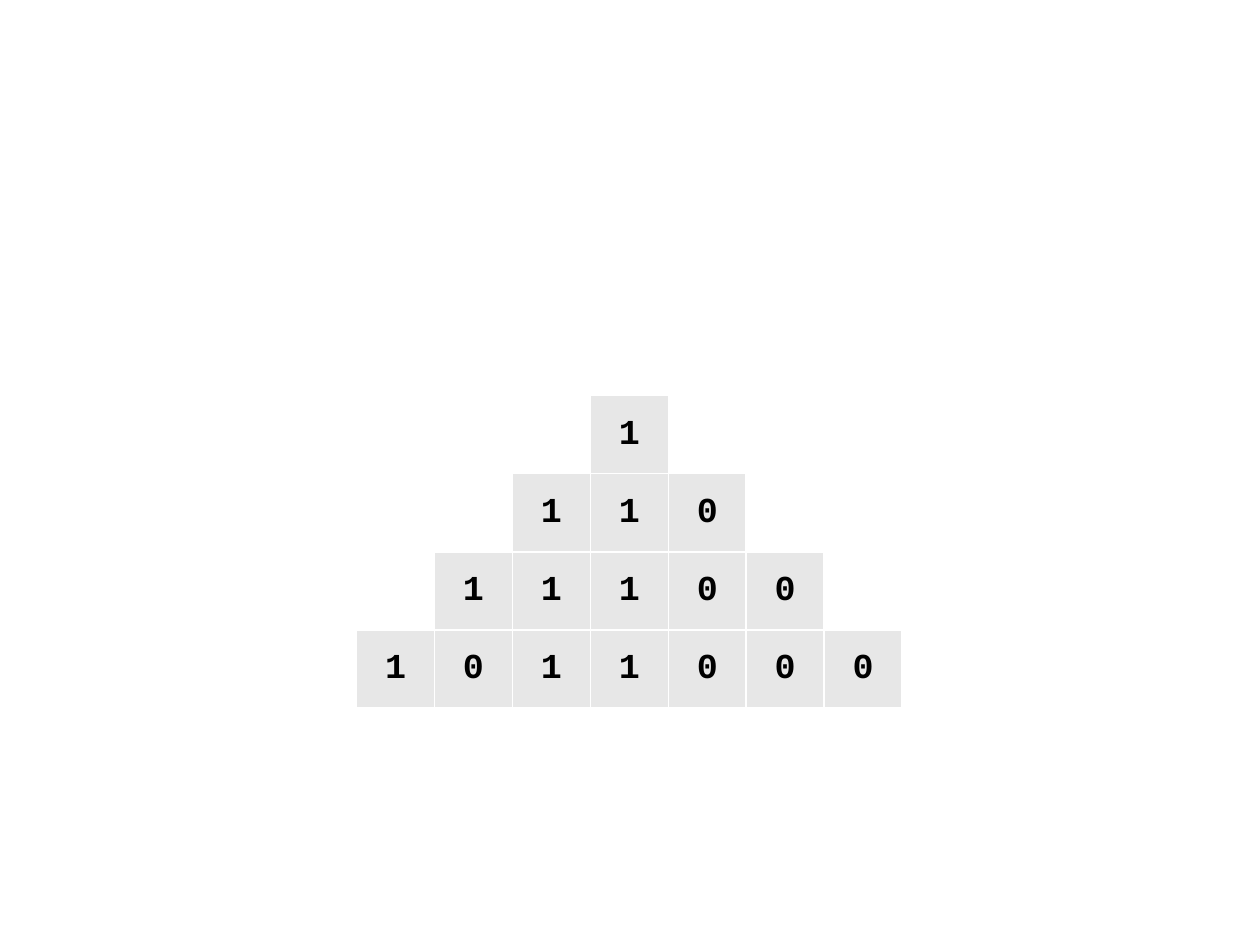
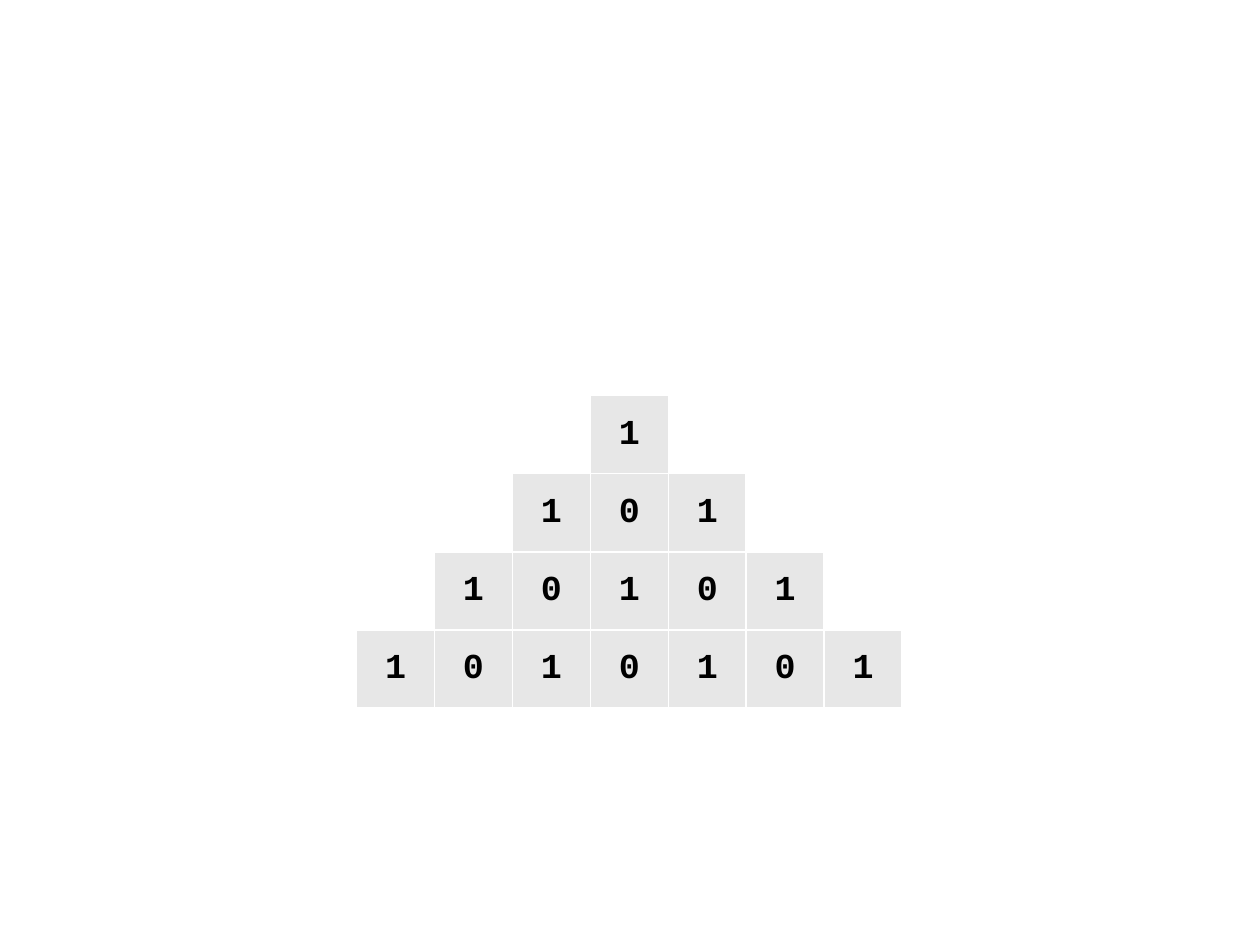
"""Two slides, each with a pyramid of binary digits in a table."""
from dataclasses import dataclass

from lxml import etree
from pptx import Presentation
from pptx import util as u
from pptx.dml.color import RGBColor
from pptx.enum import text
from pptx.oxml.ns import qn

COLORS = {"background": "FFFFFF", "border": "FFFFFF", "cell": "E7E7E7", "digit": "000000"}
FONT = "Courier New"
FONT_SIZE = u.Pt(20)
BORDER_WIDTH = u.Pt(1)

# Table frame, the same on both slides
LEFT, TOP = u.Inches(2.83), u.Inches(3.14)
WIDTH, HEIGHT = u.Inches(4.33), u.Inches(2.48)


@dataclass(frozen=True)
class Pyramid:
    rows: tuple[str, ...]  # top to bottom, each two digits longer than the last

    @property
    def columns(self) -> int:
        return len(self.rows[-1])


PYRAMIDS = [
    Pyramid(("1", "110", "11100", "1011000")),
    Pyramid(("1", "101", "10101", "1010101")),
]


def add_borders(cell) -> None:
    """Give all four sides of a cell a thin solid line."""
    tc_pr = cell._tc.get_or_add_tcPr()
    for side in ("a:lnL", "a:lnR", "a:lnT", "a:lnB"):
        line = etree.SubElement(tc_pr, qn(side), w=str(BORDER_WIDTH))
        fill = etree.SubElement(line, qn("a:solidFill"))
        etree.SubElement(fill, qn("a:srgbClr"), val=COLORS["border"])


def write_digit(cell, digit: str) -> None:
    """Shade a cell and centre a digit in it."""
    cell.fill.solid()
    cell.fill.fore_color.rgb = RGBColor.from_string(COLORS["cell"])
    cell.vertical_anchor = text.MSO_ANCHOR.MIDDLE
    cell.text = digit
    p = cell.text_frame.paragraphs[0]
    p.alignment = text.PP_ALIGN.CENTER
    p.font.name = FONT
    p.font.size = FONT_SIZE
    p.font.bold = True
    p.font.color.rgb = RGBColor.from_string(COLORS["digit"])


def add_pyramid(s, pyramid: Pyramid) -> None:
    """Draw the rows centred in a table; cells outside them stay clear."""
    table = s.shapes.add_table(
        len(pyramid.rows), pyramid.columns, LEFT, TOP, WIDTH, HEIGHT
    ).table
    table.first_row = False
    table.horz_banding = False
    for row, digits in enumerate(pyramid.rows):
        for column, digit in enumerate(digits.center(pyramid.columns)):
            cell = table.cell(row, column)
            add_borders(cell)
            if digit.isdigit():
                write_digit(cell, digit)
            else:
                cell.fill.background()


prs = Presentation()
prs.slide_width, prs.slide_height = u.Inches(10), u.Inches(7.5)

for pyramid in PYRAMIDS:
    s = prs.slides.add_slide(prs.slide_layouts[6])
    s.background.fill.solid()
    s.background.fill.fore_color.rgb = RGBColor.from_string(COLORS["background"])
    add_pyramid(s, pyramid)

prs.save("out.pptx")
